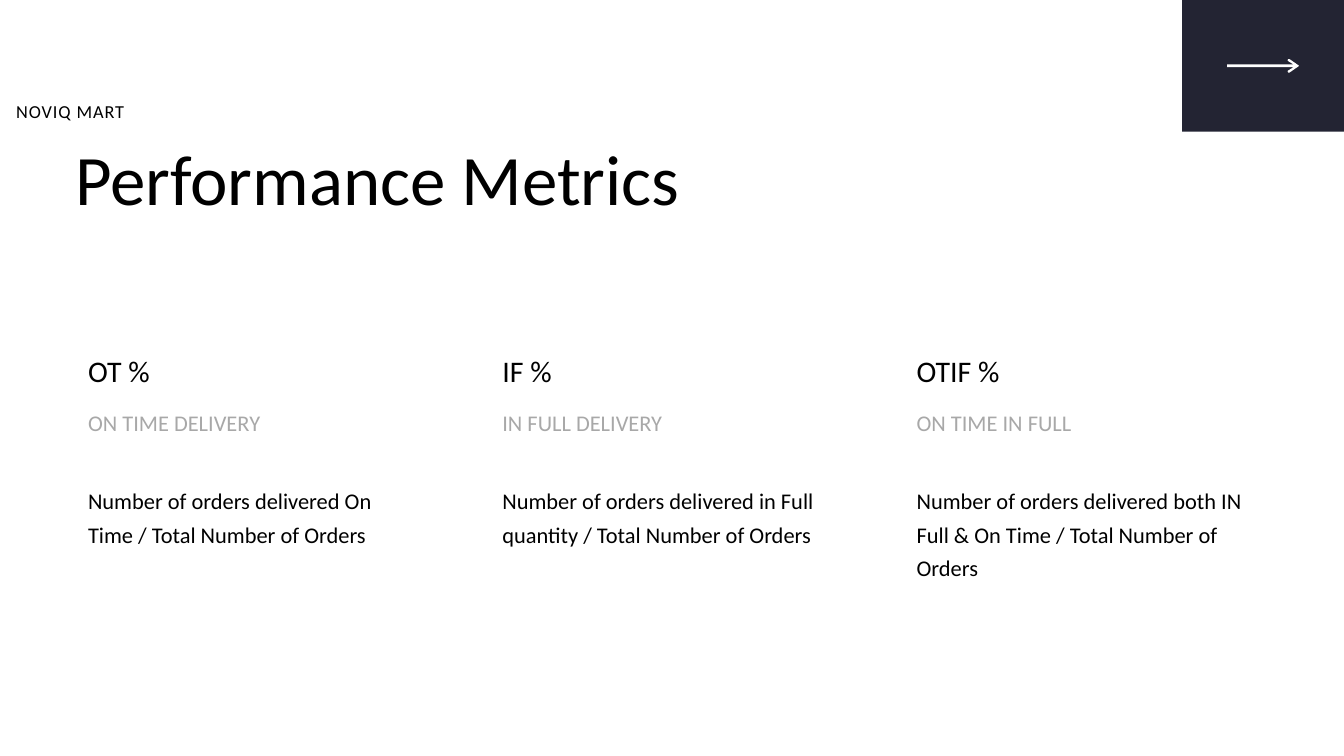
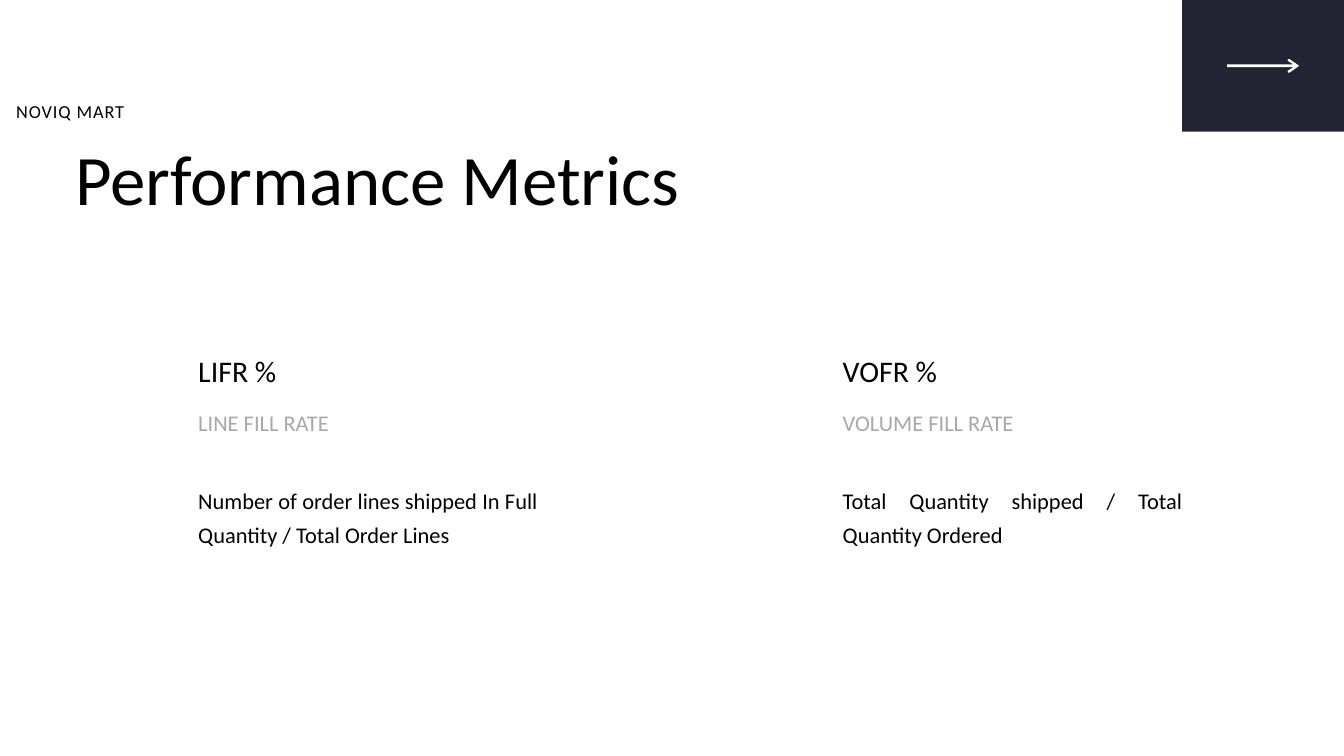
from dataclasses import dataclass

from pptx import Presentation
from pptx import util as u
from pptx.dml.color import RGBColor
from pptx.enum import shapes, text


@dataclass(frozen=True)
class Style:
    size: float
    leading: float
    color: RGBColor
    tracking: float = 0


class Theme:
    font = "Calibri"
    ink = RGBColor.from_string("000000")
    grey = RGBColor.from_string("A8A8A8")
    navy = RGBColor.from_string("232433")
    white = RGBColor.from_string("FFFFFF")
    title = Style(76, 98.8, ink)
    brand = Style(19.6, 27.5, ink, tracking=1)
    metric = Style(32, 41.6, ink)
    label = Style(24, 31.2, grey)
    formula = Style(24, 36, ink)


LEFT, JUSTIFY = text.PP_ALIGN.LEFT, text.PP_ALIGN.JUSTIFY
COLUMN_TOP, COLUMN_WIDTH = 5.21, 5.05
UPPER_ARROW = [(0, -2), (99, -2), (91, -7), (90, -8), (91, -10), (93, -10), (106, -1), (107, 0)]

SLIDES = [
    (1.31, 13.64, LEFT, [
        ("OT %", "ON TIME DELIVERY",
         "Number of orders delivered On Time / Total Number of Orders"),
        ("IF %", "IN FULL DELIVERY",
         "Number of orders delivered in Full quantity / Total Number of Orders"),
        ("OTIF %", "ON TIME IN FULL",
         "Number of orders delivered both IN Full & On Time / Total Number of Orders"),
    ]),
    (2.95, 12.54, JUSTIFY, [
        ("LIFR %", "LINE FILL RATE",
         "Number of order lines shipped In Full Quantity / Total Order Lines"),
        ("VOFR %", "VOLUME FILL RATE",
         "Total Quantity shipped / Total Quantity Ordered"),
    ]),
]


def write(box, words, style, align=LEFT):
    frame = box.text_frame
    frame.word_wrap = True
    frame.auto_size = text.MSO_AUTO_SIZE.NONE
    frame.vertical_anchor = text.MSO_ANCHOR.TOP
    frame.margin_left = frame.margin_top = frame.margin_right = frame.margin_bottom = 0
    para = frame.paragraphs[0]
    para.alignment = align
    para.line_spacing = u.Pt(style.leading)
    para.space_before = u.Pt(0)
    span = para.add_run()
    span.text = words
    span.font.name = Theme.font
    span.font.size = u.Pt(style.size)
    span.font.color.rgb = style.color
    if style.tracking:
        span._r.get_or_add_rPr().set("spc", str(round(style.tracking * 100)))


def add_text(page, left, top, width, height, words, style, align=LEFT):
    box = page.shapes.add_textbox(*map(u.Inches, (left, top, width, height)))
    write(box, words, style, align)


def paint(shape, color):
    shape.shadow.inherit = False
    shape.fill.solid()
    shape.fill.fore_color.rgb = color
    shape.line.fill.background()


def add_header(page):
    title = page.shapes.title
    title.left, title.top = u.Inches(1.12), u.Inches(1.89)
    title.width, title.height = u.Inches(13.75), u.Inches(1.33)
    write(title, "Performance Metrics", Theme.title)
    add_text(page, 0.24, 1.44, 4.93, 0.36, "NOVIQ MART", Theme.brand)


def add_arrow_tab(page, left, top, width, height):
    tab = page.shapes.add_shape(shapes.MSO_SHAPE.RECTANGLE,
                                *map(u.Inches, (left, top, width, height)))
    paint(tab, Theme.navy)
    lower = [(x, -y) for x, y in reversed(UPPER_ARROW[:-1])]
    outline = UPPER_ARROW + lower
    builder = page.shapes.build_freeform(*outline[0], scale=u.Inches(0.01))
    builder.add_line_segments(outline[1:], close=True)
    arrow = builder.convert_to_shape(u.Inches(left + 0.67), u.Inches(top + height / 2))
    paint(arrow, Theme.white)


def add_metric(page, left, top, width, metric, align):
    name, label, formula = metric
    add_text(page, left, top, width, 0.56, name, Theme.metric)
    add_text(page, left, top + 0.84, width, 0.42, label, Theme.label)
    add_text(page, left, top + 1.94, width, 1.44, formula, Theme.formula, align)


def add_metrics_page(deck, first, last, align, metrics):
    page = deck.slides.add_slide(deck.slide_layouts.get_by_name("Title Only"))
    add_header(page)
    add_arrow_tab(page, 17.59, 0, 2.41, 1.96)
    pitch = (last - first) / (len(metrics) - 1)
    for column, metric in enumerate(metrics):
        add_metric(page, first + column * pitch, COLUMN_TOP, COLUMN_WIDTH, metric, align)


def main():
    deck = Presentation()
    deck.slide_width, deck.slide_height = u.Inches(20), u.Inches(11.25)
    for content in SLIDES:
        add_metrics_page(deck, *content)
    deck.save("out.pptx")


if __name__ == "__main__":
    main()
